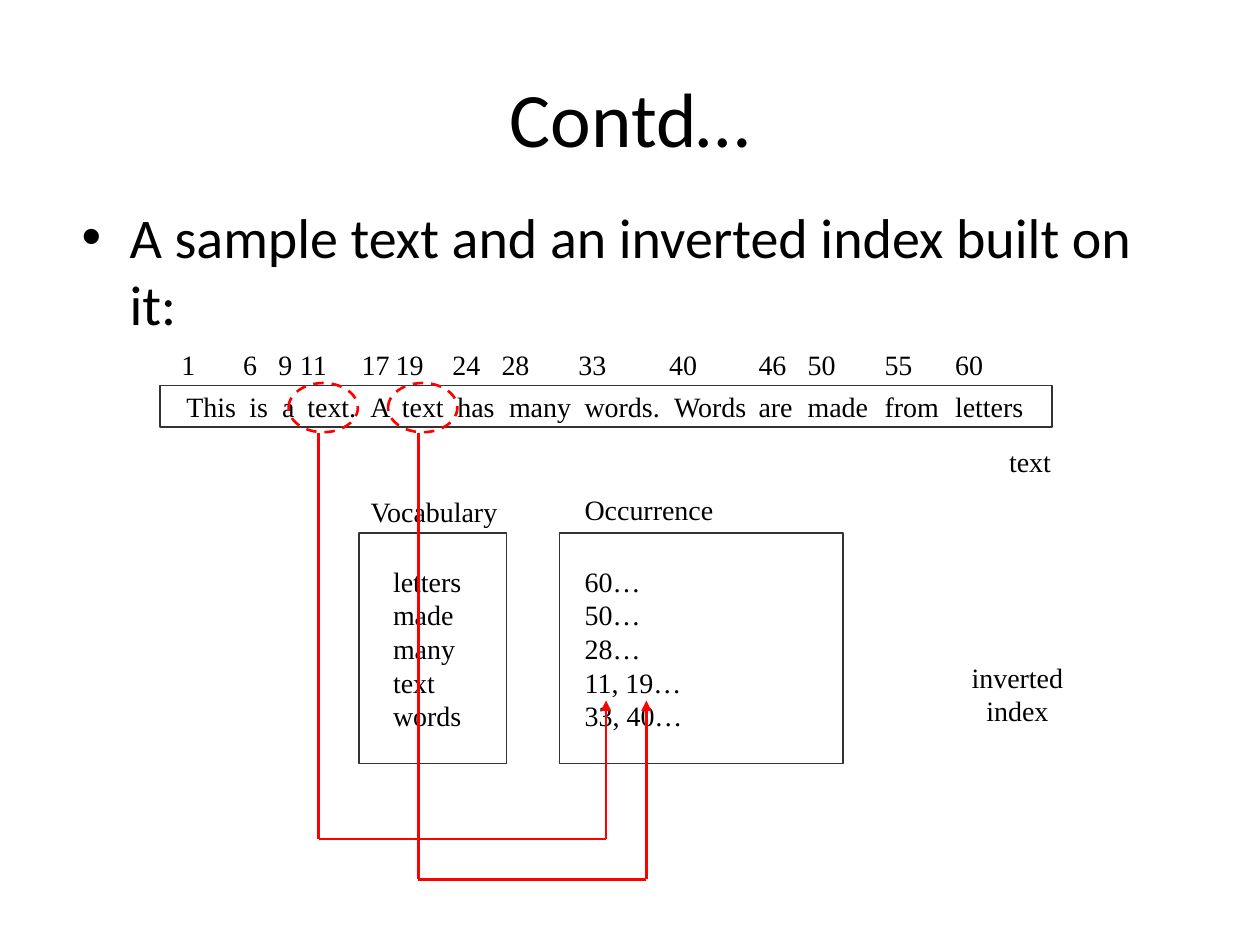
from lxml.etree import SubElement
from pptx import Presentation
from pptx.dml.color import RGBColor
from pptx.enum.dml import MSO_LINE
from pptx.enum.shapes import MSO_CONNECTOR, MSO_SHAPE
from pptx.enum.text import MSO_ANCHOR, PP_ALIGN
from pptx.oxml.ns import qn
from pptx.util import Inches, Pt

BLACK = RGBColor(0x00, 0x00, 0x00)
GRAY = RGBColor(0x33, 0x33, 0x33)
RED = RGBColor(0xFF, 0x00, 0x00)

prs = Presentation()
prs.slide_width, prs.slide_height = Inches(10), Inches(7.5)
slide = prs.slides.add_slide(prs.slide_layouts[6])


def add_outline(kind, left, top, width, height, color, weight):
    outline = slide.shapes.add_shape(kind, Inches(left), Inches(top), Inches(width), Inches(height))
    outline.shadow.inherit = False
    outline.fill.background()
    outline.line.color.rgb = color
    outline.line.width = Pt(weight)
    return outline


def write(box, text, size=16, font="Times New Roman", align=PP_ALIGN.LEFT, anchor=MSO_ANCHOR.MIDDLE, wrap=True):
    frame = box.text_frame
    frame.word_wrap = wrap
    frame.vertical_anchor = anchor
    frame.text = text
    for paragraph in frame.paragraphs:
        paragraph.alignment = align
        for run in paragraph.runs:
            run.font.size = Pt(size)
            run.font.name = font
            run.font.color.rgb = BLACK
    return frame


title = slide.shapes.add_textbox(Inches(0.5), Inches(0.3), Inches(9), Inches(1.25))
write(title, "Contd…", 44, "Calibri", PP_ALIGN.CENTER)

intro = slide.shapes.add_textbox(Inches(0.55), Inches(1.56), Inches(9), Inches(1.2))
intro_frame = write(intro, "A sample text and an inverted index built on it:", 32, "Calibri", anchor=MSO_ANCHOR.TOP)
intro_props = intro_frame.paragraphs[0]._p.get_or_add_pPr()
intro_props.set("marL", str(Inches(0.38)))
intro_props.set("indent", str(-Inches(0.38)))
SubElement(intro_props, qn("a:buFont"), typeface="Arial")
SubElement(intro_props, qn("a:buChar"), char="•")

sentence = add_outline(MSO_SHAPE.RECTANGLE, 1.27, 3.06, 7.08, 0.33, GRAY, 0.75)
positions = slide.shapes.add_textbox(Inches(1.27), Inches(2.73), Inches(7.08), Inches(0.33))
rows = [
    (sentence, "This is a text. A text has many words. Words are made from letters",
     [0.21, 0.71, 0.97, 1.17, 1.67, 1.92, 2.36, 2.77, 3.37, 4.08, 4.75, 5.14, 5.75, 6.31]),
    (positions, "1 6 9 11 17 19 24 28 33 40 46 50 55 60",
     [0.17, 0.66, 0.94, 1.11, 1.60, 1.87, 2.32, 2.71, 3.32, 4.04, 4.75, 5.14, 5.75, 6.31]),
]
for row, words, offsets in rows:
    row_frame = write(row, "\t".join(words.split()))
    row_frame.margin_left = Inches(offsets[0])
    row_frame.margin_right = 0
    tab_list = SubElement(row_frame.paragraphs[0]._p.get_or_add_pPr(), qn("a:tabLst"))
    for offset in offsets[1:]:
        SubElement(tab_list, qn("a:tab"), pos=str(Inches(round(offset - offsets[0], 2))), algn="l")

columns = [
    (2.85, 1.17, 0.27, ["letters", "made", "many", "text", "words"]),
    (4.44, 2.25, 0.2, ["60…", "50…", "28…", "11, 19…", "33, 40…"]),
]
for left, width, margin, entries in columns:
    column = add_outline(MSO_SHAPE.RECTANGLE, left, 4.23, width, 1.83, GRAY, 0.75)
    write(column, "\n".join(entries)).margin_left = Inches(margin)

labels = [
    ("Vocabulary", 2.83, 3.88, 1.23),
    ("Occurrence", 4.54, 3.86, 1.22),
    ("inverted index", 7.34, 5.19, 1.47),
    ("text", 7.91, 3.48, 0.53),
]
for caption, left, top, width in labels:
    label = slide.shapes.add_textbox(Inches(left), Inches(top), Inches(width), Inches(0.37))
    write(label, caption, align=PP_ALIGN.CENTER, anchor=MSO_ANCHOR.TOP, wrap=False)

for ring_left, start_x, bottom, end_x in [(2.29, 2.53, 6.66, 4.81), (3.08, 3.32, 6.98, 5.13)]:
    ring = add_outline(MSO_SHAPE.OVAL, ring_left, 3.04, 0.55, 0.39, RED, 1.5)
    ring.line.dash_style = MSO_LINE.DASH
    route = [(start_x, 3.44), (start_x, bottom), (end_x, bottom), (end_x, 5.56)]
    for (x1, y1), (x2, y2) in zip(route, route[1:]):
        segment = slide.shapes.add_connector(
            MSO_CONNECTOR.STRAIGHT, Inches(x1), Inches(y1), Inches(x2), Inches(y2))
        segment.line.color.rgb = RED
        segment.line.width = Pt(1.5)
        SubElement(segment._element.spPr, qn("a:effectLst"))
    SubElement(segment.line._get_or_add_ln(), qn("a:tailEnd"), type="triangle")

prs.save("out.pptx")
